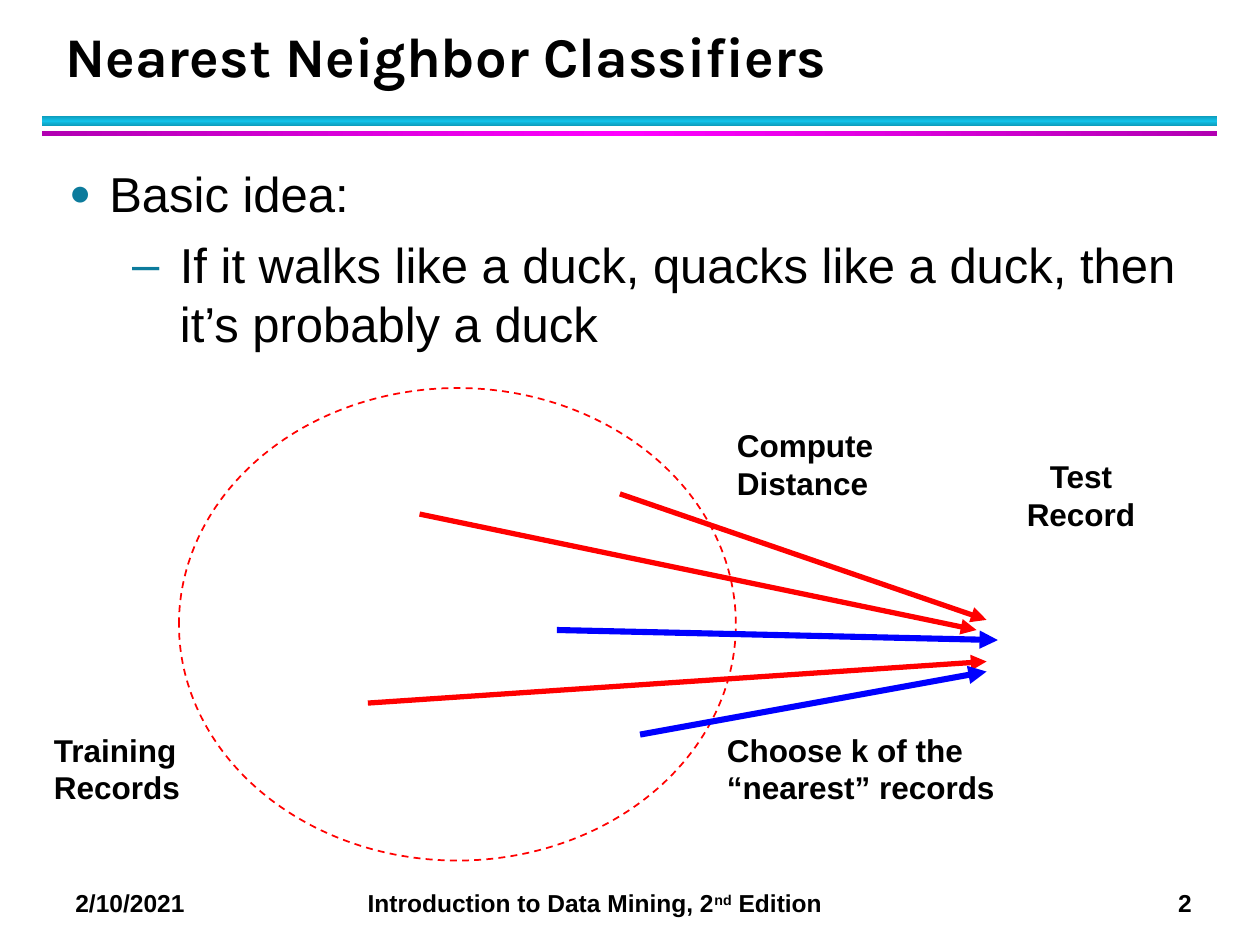
from copy import deepcopy

from lxml.etree import SubElement
from pptx import Presentation
from pptx.dml.color import RGBColor
from pptx.enum.dml import MSO_LINE
from pptx.enum.shapes import MSO_CONNECTOR, MSO_SHAPE
from pptx.enum.text import MSO_ANCHOR, PP_ALIGN
from pptx.oxml.ns import qn
from pptx.util import Inches, Pt

BLACK, RED, BLUE, TEAL = "000000", "FF0000", "0000FF", "0C7B9C"


def color(code):
    return RGBColor.from_string(code)


def add(parent, tag, **attrs):
    return SubElement(parent, qn(tag), **attrs)


class Page:
    """Holds the current slide and its text style."""

    face = "Arial"

    def __init__(self, slide):
        self.shapes = slide.shapes

    def frame(self, left, top, width, height):
        box = self.shapes.add_textbox(*map(Inches, (left, top, width, height)))
        box.text_frame.word_wrap = True
        return box.text_frame

    def style(self, para, size, bold=True, face=None):
        font = para.font
        font.name, font.size, font.bold = face or self.face, Pt(size), bold
        font.color.rgb = color(BLACK)

    def title(self, text, *place):
        frame = self.frame(*place)
        frame.vertical_anchor = MSO_ANCHOR.BOTTOM
        para = frame.paragraphs[0]
        para.text = text
        para.line_spacing = Pt(36)
        self.style(para, 32, face="Karla")

    def label(self, text, *place, align=PP_ALIGN.LEFT):
        para = self.frame(*place).paragraphs[0]
        para.text, para.alignment = text, align
        self.style(para, 18)

    def band(self, edge, middle, angle, *place):
        """Add a bar that shades from edge to middle and back."""
        bar = self.shapes.add_shape(MSO_SHAPE.RECTANGLE, *map(Inches, place))
        bar.shadow.inherit = False
        bar.line.fill.background()
        bar.fill.gradient()
        bar.fill.gradient_angle = angle
        stops = bar.fill.gradient_stops
        for stop, code, spot in zip(stops, (edge, middle), (0, 0.5)):
            stop.color.rgb, stop.position = color(code), spot
        rows = bar.fill._fill._gradFill.gsLst
        last = deepcopy(rows[0])
        last.set("pos", "100000")
        rows.append(last)

    def bullets(self, items, *place):
        frame = self.frame(*place)
        for num, (text, level, margin, hang, mark, scale) in enumerate(items):
            para = frame.paragraphs[0] if num == 0 else frame.add_paragraph()
            para.text, para.level = text, level
            props = para._p.get_or_add_pPr()
            props.set("marL", str(Inches(margin)))
            props.set("indent", str(-Inches(hang)))
            add(add(props, "a:buClr"), "a:srgbClr", val=TEAL)
            add(props, "a:buSzPct", val=str(scale * 1000))
            add(props, "a:buFont", typeface=self.face)
            add(props, "a:buChar", char=mark)
            para.space_after = Pt(4)
            if num:
                para.space_before = Pt(3)
            self.style(para, 28, bold=False)

    def footer(self, parts, tabs, *place):
        """Add one line of (text, raised) parts, set on tab stops."""
        para = self.frame(*place).paragraphs[0]
        stops = add(para._p.get_or_add_pPr(), "a:tabLst")
        for spot, align in tabs:
            add(stops, "a:tab", pos=str(Inches(spot)), algn=align)
        self.style(para, 14)
        for text, raised in parts:
            run = para.add_run()
            run.text = text
            if raised:
                run.font._element.set("baseline", "30000")

    def ring(self, code, *place):
        oval = self.shapes.add_shape(MSO_SHAPE.OVAL, *map(Inches, place))
        oval.shadow.inherit = False
        oval.fill.background()
        oval.line.color.rgb, oval.line.width = color(code), Pt(1)
        oval.line.dash_style = MSO_LINE.DASH

    def arrow(self, code, weight, *ends):
        link = self.shapes.add_connector(MSO_CONNECTOR.STRAIGHT, *map(Inches, ends))
        link.line.color.rgb, link.line.width = color(code), Pt(weight)
        add(link.line._get_or_add_ln(), "a:tailEnd", type="triangle")
        add(link._element.spPr, "a:effectLst")


def main():
    deck = Presentation()
    deck.slide_width, deck.slide_height = Inches(10), Inches(7.5)
    page = Page(deck.slides.add_slide(deck.slide_layouts[6]))

    page.band("0E9BBA", "12C2E9", 90, 0.33, 0.92, 9.33, 0.08)
    page.band("B200B2", "FF00FF", 0, 0.33, 1.04, 9.33, 0.04)
    page.footer(
        [("2/10/2021\tIntroduction to Data Mining, 2", False),
         ("nd", True), (" Edition\t2", False)],
        [(2.32, "l"), (8.86, "r")], 0.5, 7, 9.33, 0.34)
    page.title("Nearest Neighbor Classifiers", 0.42, 0.17, 9.06, 0.58)
    page.bullets(
        [("Basic idea:", 0, 0.32, 0.32, "●", 75),
         ("If it walks like a duck, quacks like a duck, then "
          "it’s probably a duck", 1, 0.88, 0.38, "–", 100)],
        0.45, 1.25, 9.1, 5.67)

    page.ring(RED, 1.42, 3.08, 4.42, 3.75)
    page.label("Training Records", 0.33, 5.75, 1.5, 0.7)
    page.label("Test Record", 7.83, 3.58, 1.5, 0.7, align=PP_ALIGN.CENTER)
    page.label("Compute Distance", 5.75, 3.33, 1.5, 0.7)
    page.label("Choose k of the “nearest” records", 5.67, 5.75, 2.42, 0.7)

    far = [(4.92, 3.92, 7.83, 4.92), (2.92, 5.58, 7.83, 5.25),
           (3.33, 4.08, 7.75, 5)]
    near = [(4.42, 5, 7.92, 5.08), (5.08, 5.83, 7.83, 5.33)]
    for code, weight, group in ((RED, 3, far), (BLUE, 3.5, near)):
        for ends in group:
            page.arrow(code, weight, *ends)

    deck.save("out.pptx")


if __name__ == "__main__":
    main()
